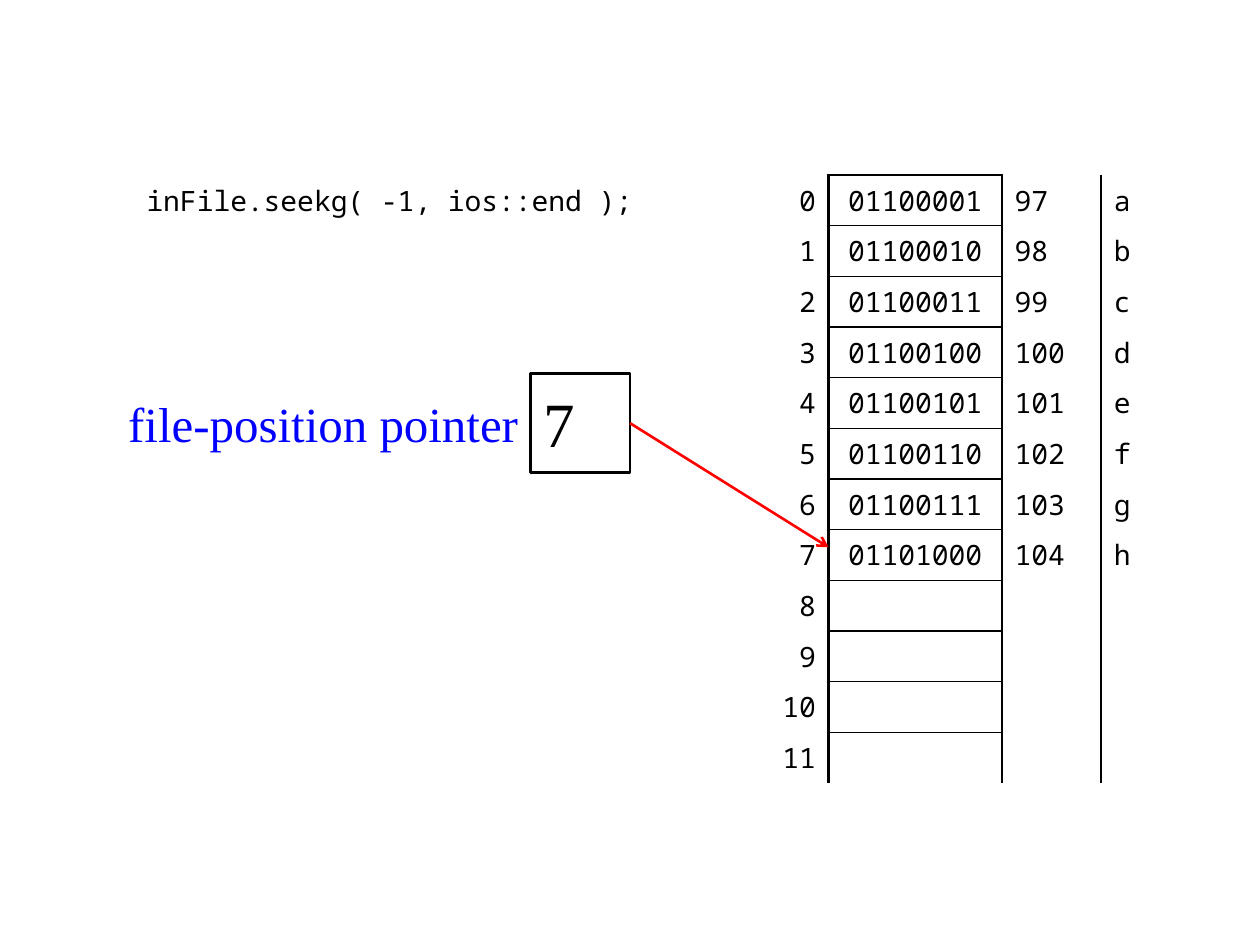
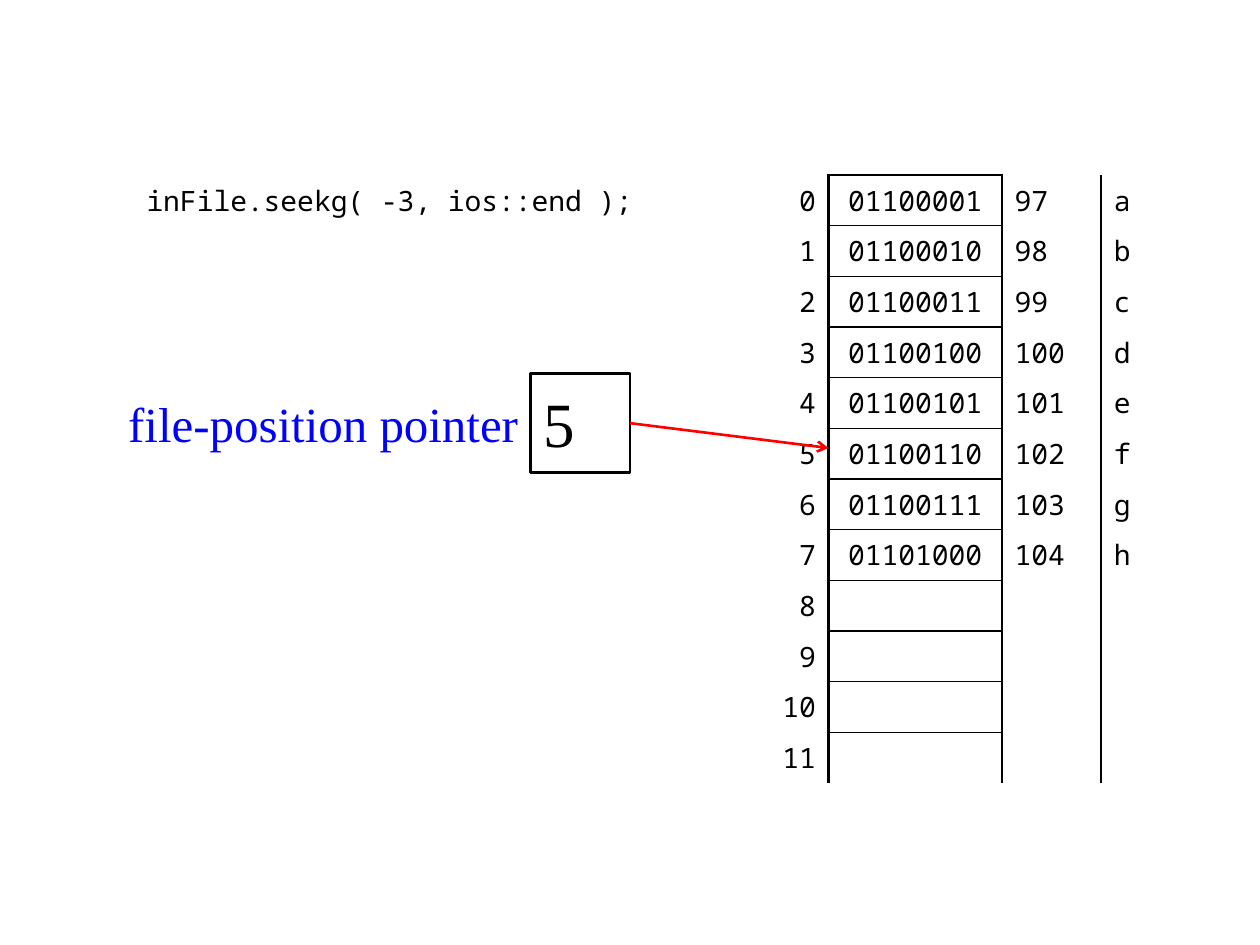
from dataclasses import dataclass

from lxml import etree
from pptx import Presentation
from pptx.dml.color import RGBColor
from pptx.enum.shapes import MSO_CONNECTOR, MSO_SHAPE
from pptx.enum.text import MSO_ANCHOR, MSO_AUTO_SIZE, PP_ALIGN
from pptx.oxml.ns import qn
from pptx.util import Cm, Inches, Length, Pt

LEFT, CENTER, RIGHT = PP_ALIGN.LEFT, PP_ALIGN.CENTER, PP_ALIGN.RIGHT
MIDDLE = MSO_ANCHOR.MIDDLE
NO_AUTOFIT = MSO_AUTO_SIZE.NONE
RECTANGLE = MSO_SHAPE.RECTANGLE
STRAIGHT = MSO_CONNECTOR.STRAIGHT

BLACK = RGBColor(0x00, 0x00, 0x00)
WHITE = RGBColor(0xFF, 0xFF, 0xFF)
BLUE = RGBColor(0x00, 0x00, 0xFF)
RED = RGBColor(0xFF, 0x00, 0x00)

TWO_CONTENT_LAYOUT = 3
NO_TABLE_STYLE = "{2D5ABB26-0587-4C30-8999-92F81FD0307C}"
THICK, THIN = Pt(1.5), Pt(0.75)

# Grid: one row is one centimetre, counted from the top of the memory table
GRID_TOP = 3.53
MEMORY_LEFT = 15.2
MEMORY_COLUMNS = (1.5, 3.5, 2, 1)
MEMORY_ALIGN = (RIGHT, CENTER, LEFT, LEFT)
BITS_COLUMN = 1
MEMORY_ROWS = 12
FILE_CONTENT = "abcdefgh"
POINTER_ROW = 4


@dataclass(frozen=True)
class Box:
    left: float
    row: float
    width: float
    rows: float

    def emu(self) -> tuple[Length, Length, Length, Length]:
        return Cm(self.left), row_y(self.row), Cm(self.width), Cm(self.rows)


@dataclass(frozen=True)
class TextStyle:
    font: str
    size: int
    color: RGBColor
    align: PP_ALIGN = LEFT
    space_before: int = 20  # per cent
    hanging: float = 0  # inches


@dataclass(frozen=True)
class Seek:
    offset: int
    position: int


CODE_BOX = Box(2.7, 0, 10.5, 1)
LABEL_BOX = Box(2.2, POINTER_ROW, 8.5, 2)
POINTER_BOX = Box(10.7, POINTER_ROW, 2, 2)

CODE = TextStyle("Noto Sans Mono", 16, BLACK)
LABEL = TextStyle("Times New Roman", 28, BLUE, RIGHT, space_before=0)
POINTER = TextStyle("Times New Roman", 36, BLACK, hanging=0.38)

SEEKS = (Seek(-1, 7), Seek(-3, 5))


def row_y(row: float) -> Length:
    return Cm(GRID_TOP + row)


def write(frame, text: str, style: TextStyle, align: PP_ALIGN | None = None) -> None:
    """Put one unbulleted paragraph into a text frame."""
    frame.text = text
    paragraph = frame.paragraphs[0]
    paragraph.alignment = style.align if align is None else align
    properties = paragraph._p.get_or_add_pPr()
    properties.set("marL", str(Inches(style.hanging)))
    properties.set("indent", str(-Inches(style.hanging)))
    before = etree.SubElement(properties, qn("a:spcBef"))
    etree.SubElement(before, qn("a:spcPct"), val=str(style.space_before * 1000))
    etree.SubElement(properties, qn("a:buNone"))
    for run in paragraph.runs:
        run.font.name = style.font
        run.font.size = Pt(style.size)
        run.font.color.rgb = style.color


def fill_placeholder(placeholder, box: Box, text: str, style: TextStyle) -> None:
    placeholder.left, placeholder.top, placeholder.width, placeholder.height = box.emu()
    frame = placeholder.text_frame
    frame.auto_size = NO_AUTOFIT
    frame.vertical_anchor = MIDDLE
    write(frame, text, style)


def set_borders(cell, borders: dict[str, Length]) -> None:
    """Draw black borders; the keys are L, R, T and B, in that order."""
    properties = cell._tc.get_or_add_tcPr()
    for index, (side, width) in enumerate(borders.items()):
        line = etree.Element(qn(f"a:ln{side}"), w=str(width))
        fill = etree.SubElement(line, qn("a:solidFill"))
        etree.SubElement(fill, qn("a:srgbClr"), val=str(BLACK))
        properties.insert(index, line)


def cell_borders(row: int, column: int) -> dict[str, Length]:
    if column == BITS_COLUMN:
        borders = {"L": THICK, "R": THICK, "T": THIN if row else THICK}
        # The last cell stays open: the memory goes on
        return borders if row == MEMORY_ROWS - 1 else borders | {"B": THIN}
    if column == BITS_COLUMN - 1:
        return {"R": THICK}
    if column == BITS_COLUMN + 1:
        return {"L": THICK}
    return {}


def memory_row(address: int) -> tuple[str, ...]:
    if address >= len(FILE_CONTENT):
        return str(address), "", "", ""
    letter = FILE_CONTENT[address]
    return str(address), f"{ord(letter):08b}", str(ord(letter)), letter


def add_memory(slide) -> None:
    area = Box(MEMORY_LEFT, 0, sum(MEMORY_COLUMNS), MEMORY_ROWS)
    memory = slide.shapes.add_table(MEMORY_ROWS, len(MEMORY_COLUMNS), *area.emu()).table
    memory.first_row = memory.horz_banding = False
    memory._tbl.tblPr.find(qn("a:tableStyleId")).text = NO_TABLE_STYLE
    for column, width in zip(memory.columns, MEMORY_COLUMNS):
        column.width = Cm(width)
    for row in range(MEMORY_ROWS):
        for column, text in enumerate(memory_row(row)):
            cell = memory.cell(row, column)
            cell.fill.solid()
            cell.fill.fore_color.rgb = WHITE
            cell.vertical_anchor = MIDDLE
            if text:
                write(cell.text_frame, text, CODE, MEMORY_ALIGN[column])
            else:
                cell.margin_top = cell.margin_bottom = 0
            set_borders(cell, cell_borders(row, column))


def add_pointer(slide, position: int) -> None:
    pointer = slide.shapes.add_shape(RECTANGLE, *POINTER_BOX.emu())
    pointer.shadow.inherit = False
    pointer.fill.background()
    pointer.line.color.rgb = BLACK
    pointer.line.width = THICK
    frame = pointer.text_frame
    frame.margin_left = frame.margin_right = Inches(0.1)
    frame.margin_top, frame.margin_bottom = 0, Inches(0.02)
    frame.vertical_anchor = MIDDLE
    write(frame, str(position), POINTER)


def add_arrow(slide, position: int) -> None:
    """Lead from the pointer to the middle of the byte it stands on."""
    arrow = slide.shapes.add_connector(
        STRAIGHT,
        Cm(POINTER_BOX.left + POINTER_BOX.width),
        row_y(POINTER_BOX.row + POINTER_BOX.rows / 2),
        Cm(MEMORY_LEFT + MEMORY_COLUMNS[0]),
        row_y(position + 0.5),
    )
    arrow.line.color.rgb = RED
    arrow.line.width = THICK
    etree.SubElement(arrow.line._get_or_add_ln(), qn("a:tailEnd"), type="arrow")
    etree.SubElement(arrow._element.spPr, qn("a:effectLst"))


def add_seek_slide(deck, seek: Seek) -> None:
    slide = deck.slides.add_slide(deck.slide_layouts[TWO_CONTENT_LAYOUT])
    title, code, label = slide.placeholders
    title._element.getparent().remove(title._element)

    # Statement and caption
    fill_placeholder(code, CODE_BOX, f"inFile.seekg( {seek.offset}, ios::end );", CODE)
    fill_placeholder(label, LABEL_BOX, "file-position pointer", LABEL)

    # Memory and the pointer into it
    add_memory(slide)
    add_pointer(slide, seek.position)
    add_arrow(slide, seek.position)


def main() -> None:
    deck = Presentation()
    deck.slide_width, deck.slide_height = Inches(10), Inches(7.5)
    for seek in SEEKS:
        add_seek_slide(deck, seek)
    deck.save("out.pptx")


if __name__ == "__main__":
    main()
